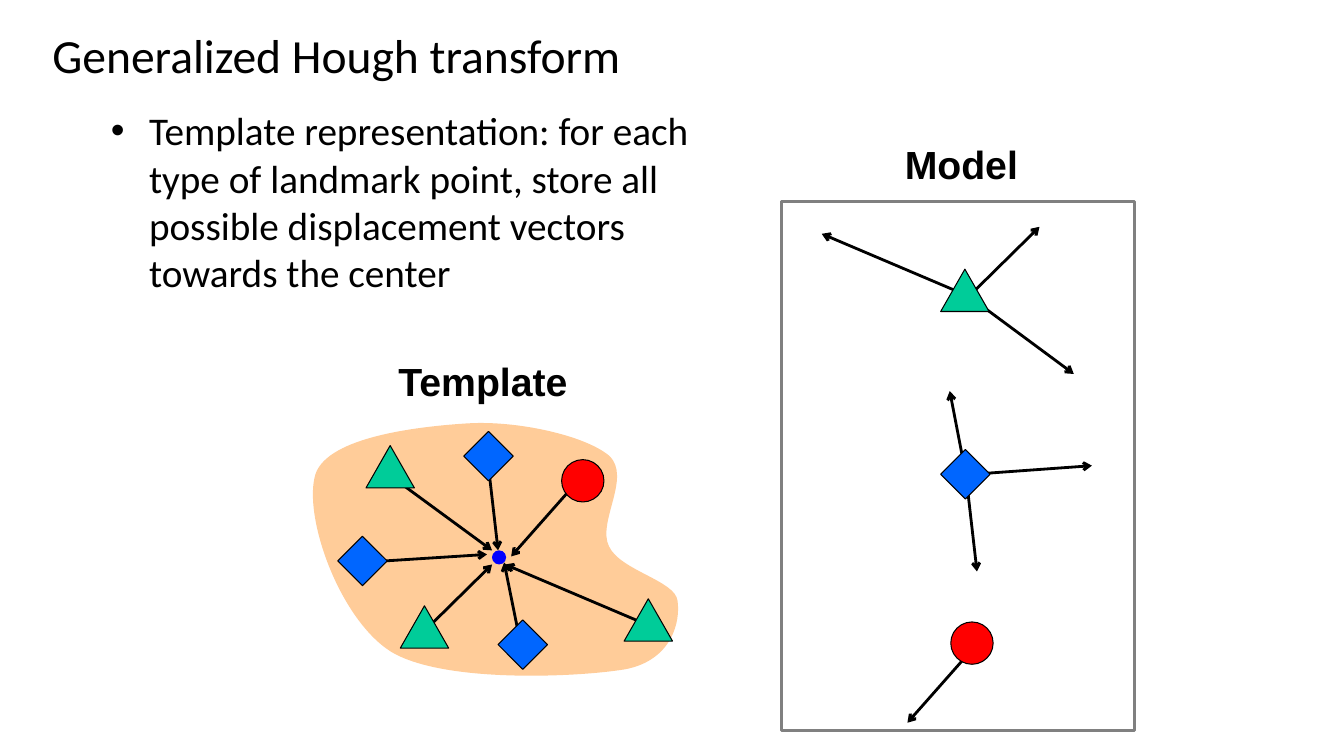
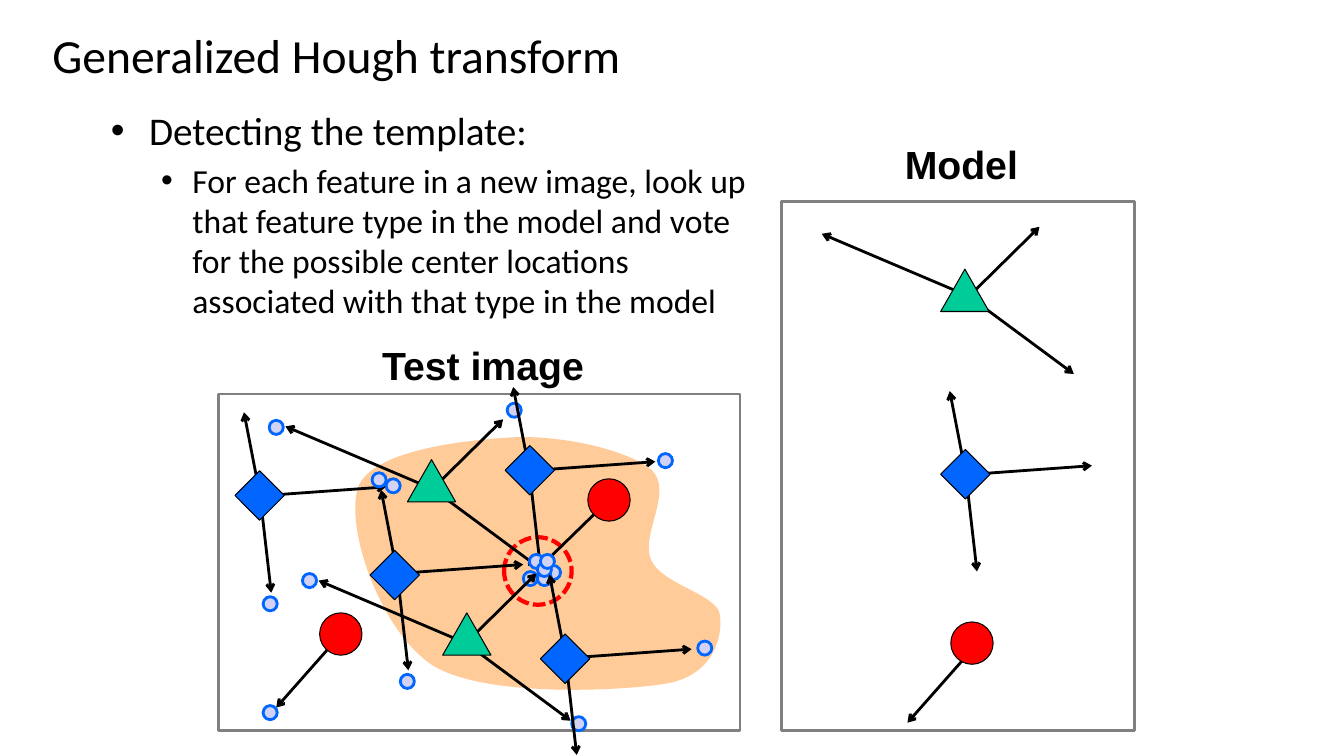
from lxml import etree
from pptx import Presentation
from pptx.dml.color import RGBColor
from pptx.enum.dml import MSO_LINE
from pptx.enum.shapes import MSO_CONNECTOR, MSO_SHAPE
from pptx.enum.text import MSO_ANCHOR, MSO_AUTO_SIZE, PP_ALIGN
from pptx.oxml.ns import qn
from pptx.util import Pt

PX = 9144  # 100 px to the inch

BLACK = RGBColor(0x00, 0x00, 0x00)
GRAY = RGBColor(0x80, 0x80, 0x80)
PEACH = RGBColor(0xFF, 0xCC, 0x99)
GREEN = RGBColor(0x00, 0xCC, 0x99)
BLUE = RGBColor(0x00, 0x66, 0xFF)
DEEP_BLUE = RGBColor(0x00, 0x00, 0xFF)
LILAC = RGBColor(0xD2, 0xD2, 0xF4)
RED = RGBColor(0xFF, 0x00, 0x00)

# Landmark types: preset, width, height, fill, displacement vectors
TRIANGLE = (MSO_SHAPE.ISOSCELES_TRIANGLE, 48, 42, GREEN,
            [(104, 77), (70, -69), (-146, -62)])
DIAMOND = (MSO_SHAPE.DIAMOND, 49, 49, BLUE,
           [(-16, -83), (125, -9), (11, 96)])
CIRCLE = (MSO_SHAPE.OVAL, 42, 42, RED, [(-68, 77)])
DOT = 14

# Landmarks: type, corner, arrow origin, vectors in use (None for all), votes
MODEL = [
    (TRIANGLE, (933, 267), (961, 294), None, []),
    (DIAMOND, (933, 446), (958, 471), None, []),
    (CIRCLE, (943, 617), (968, 640), None, []),
]
TEMPLATE = [
    (TRIANGLE, (363, 442), (383, 469), [(105, 77)], []),
    (TRIANGLE, (397, 601), (418, 629), [(70, -69)], []),
    (TRIANGLE, (619, 594), (647, 622), [(-146, -62)], []),
    (DIAMOND, (335, 532), (358, 558), [(125, -8)], []),
    (DIAMOND, (494, 615), (517, 642), [(-17, -84)], []),
    (DIAMOND, (460, 428), (483, 450), [(11, 96)], []),
    (CIRCLE, (557, 456), (575, 475), None, []),
]
TEST_IMAGE = [
    (CIRCLE, (583, 475), (608, 492), [(-75, 73)], [(519, 567)]),
    (CIRCLE, (317, 608), (342, 625), None, [(261, 700)]),
    (DIAMOND, (233, 467), (258, 492), None, [(261, 592), (383, 475)]),
    (TRIANGLE, (404, 456), (429, 485), None,
     [(542, 561), (503, 400), (267, 417)]),
    (DIAMOND, (501, 442), (525, 467), None, [(653, 450), (533, 567)]),
    (DIAMOND, (367, 546), (394, 569), None,
     [(397, 669), (369, 469), (525, 550)]),
    (TRIANGLE, (439, 608), (462, 638), None,
     [(300, 569), (567, 711), (533, 558)]),
    (DIAMOND, (536, 629), (561, 653), None, [(692, 636), (536, 550)]),
]

# Closed outline of cubic curves: each row is two control points and an end
BLOB_START = (13, 53)
BLOB_CURVES = [
    ((26, 16), (116, 6), (164, 3)),
    ((213, 0), (280, 15), (304, 35)),
    ((327, 56), (292, 101), (304, 125)),
    ((315, 149), (370, 159), (372, 179)),
    ((375, 199), (367, 238), (320, 247)),
    ((272, 255), (138, 261), (87, 229)),
    ((36, 196), (0, 94), BLOB_START),
]

MODEL_LABEL = ("Model", (866, 134, 175, 57))
MODEL_FRAME = (775, 200, 350, 525)
# Bullet levels: text indent, hanging indent, size, space before
LEVELS = [(38, 38, 28, 0), (81, 31, 24, 4)]

SLIDES = [
    dict(
        bullets=["Template representation: for each type of landmark point, "
                 "store all possible displacement vectors towards the center"],
        bullets_width=655,
        labels=[MODEL_LABEL, ("Template", (383, 350, 192, 57))],
        frames=[MODEL_FRAME],
        blob=(300, 417),
        center=((488, 546, DOT, DOT), dict(fill=DEEP_BLUE)),
        landmarks=MODEL + TEMPLATE,
    ),
    dict(
        bullets=["Detecting the template:",
                 "For each feature in a new image, look up that feature type "
                 "in the model and vote for the possible center locations "
                 "associated with that type in the model"],
        bullets_width=665,
        labels=[MODEL_LABEL, ("Test image", (350, 334, 258, 57))],
        frames=[MODEL_FRAME, (217, 391, 517, 334)],
        blob=(342, 431),
        center=((500, 533, 67, 67),
                dict(line=RED, weight=3, dash=MSO_LINE.SQUARE_DOT)),
        landmarks=MODEL + TEST_IMAGE,
    ),
]


def write(paragraph, text, size, font="Calibri", bold=False,
          align=PP_ALIGN.LEFT, level=None):
    """Fill a paragraph; a level makes it a bullet of that depth."""
    paragraph.alignment = align
    if level is not None:
        indent, hanging, _, before = LEVELS[level]
        paragraph.level = level
        paragraph.space_before = Pt(before)
        properties = paragraph._p.get_or_add_pPr()
        properties.set("marL", str(indent * PX))
        properties.set("indent", str(-hanging * PX))
        etree.SubElement(properties, qn("a:buFont"), typeface="Arial")
        etree.SubElement(properties, qn("a:buChar"), char="•")
    run = paragraph.add_run()
    run.text = text
    run.font.size = Pt(size)
    run.font.name = font
    run.font.bold = bold
    run.font.color.rgb = BLACK


def draw(slide, preset, box, fill=None, line=None, weight=0.75, dash=None):
    shape = slide.shapes.add_shape(preset, *(n * PX for n in box))
    shape.shadow.inherit = False
    if fill is None:
        shape.fill.background()
    else:
        shape.fill.solid()
        shape.fill.fore_color.rgb = fill
    if line is None:
        shape.line.fill.background()
    else:
        shape.line.color.rgb = line
        shape.line.width = Pt(weight)
        if dash is not None:
            shape.line.dash_style = dash


prs = Presentation()
prs.slide_width, prs.slide_height = 1333 * PX, 750 * PX
title_only = prs.slide_layouts[5]

for content in SLIDES:
    slide = prs.slides.add_slide(title_only)

    title = slide.shapes.title
    title.left, title.top, title.width, title.height = (
        n * PX for n in (42, 8, 1258, 92))
    title.text_frame.auto_size = MSO_AUTO_SIZE.NONE
    title.text_frame.vertical_anchor = MSO_ANCHOR.MIDDLE
    write(title.text_frame.paragraphs[0], "Generalized Hough transform", 34)

    body = slide.shapes.add_textbox(
        100 * PX, 101 * PX, content["bullets_width"] * PX, 575 * PX).text_frame
    body.word_wrap = True
    for level, text in enumerate(content["bullets"]):
        paragraph = body.add_paragraph() if level else body.paragraphs[0]
        write(paragraph, text, LEVELS[level][2], level=level)

    for text, box in content["labels"]:
        label = slide.shapes.add_textbox(*(n * PX for n in box)).text_frame
        label.word_wrap = True
        write(label.paragraphs[0], text, 28, font="Arial", bold=True,
              align=PP_ALIGN.CENTER)

    for box in content["frames"]:
        draw(slide, MSO_SHAPE.RECTANGLE, box, line=GRAY, weight=2)

    # Lay down the control points, then join every three into one curve
    builder = slide.shapes.build_freeform(*BLOB_START, scale=PX)
    for curve in BLOB_CURVES:
        builder.add_line_segments(curve, close=curve is BLOB_CURVES[-1])
    blob = builder.convert_to_shape(*(n * PX for n in content["blob"]))
    segments = list(blob._element.iter(qn("a:lnTo")))
    for first in range(0, len(segments), 3):
        bezier = etree.Element(qn("a:cubicBezTo"))
        segments[first].addprevious(bezier)
        for segment in segments[first:first + 3]:
            bezier.append(segment[0])
            segment.getparent().remove(segment)
    blob.shadow.inherit = False
    blob.fill.solid()
    blob.fill.fore_color.rgb = PEACH
    blob.line.fill.background()

    center_box, center_style = content["center"]
    draw(slide, MSO_SHAPE.OVAL, center_box, **center_style)

    for kind, _, (x, y), vectors, votes in content["landmarks"]:
        for dx, dy in vectors or kind[-1]:
            arrow = slide.shapes.add_connector(
                MSO_CONNECTOR.STRAIGHT,
                x * PX, y * PX, (x + dx) * PX, (y + dy) * PX)
            arrow.line.color.rgb = BLACK
            arrow.line.width = Pt(2)
            etree.SubElement(arrow.line._get_or_add_ln(), qn("a:tailEnd"),
                             type="arrow")
            etree.SubElement(arrow._element.spPr, qn("a:effectLst"))
        for vote in votes:
            draw(slide, MSO_SHAPE.OVAL, (*vote, DOT, DOT),
                 fill=LILAC, line=BLUE, weight=2)

    for (preset, width, height, fill, _), corner, *_ in content["landmarks"]:
        draw(slide, preset, (*corner, width, height), fill=fill, line=BLACK)

prs.save("out.pptx")
